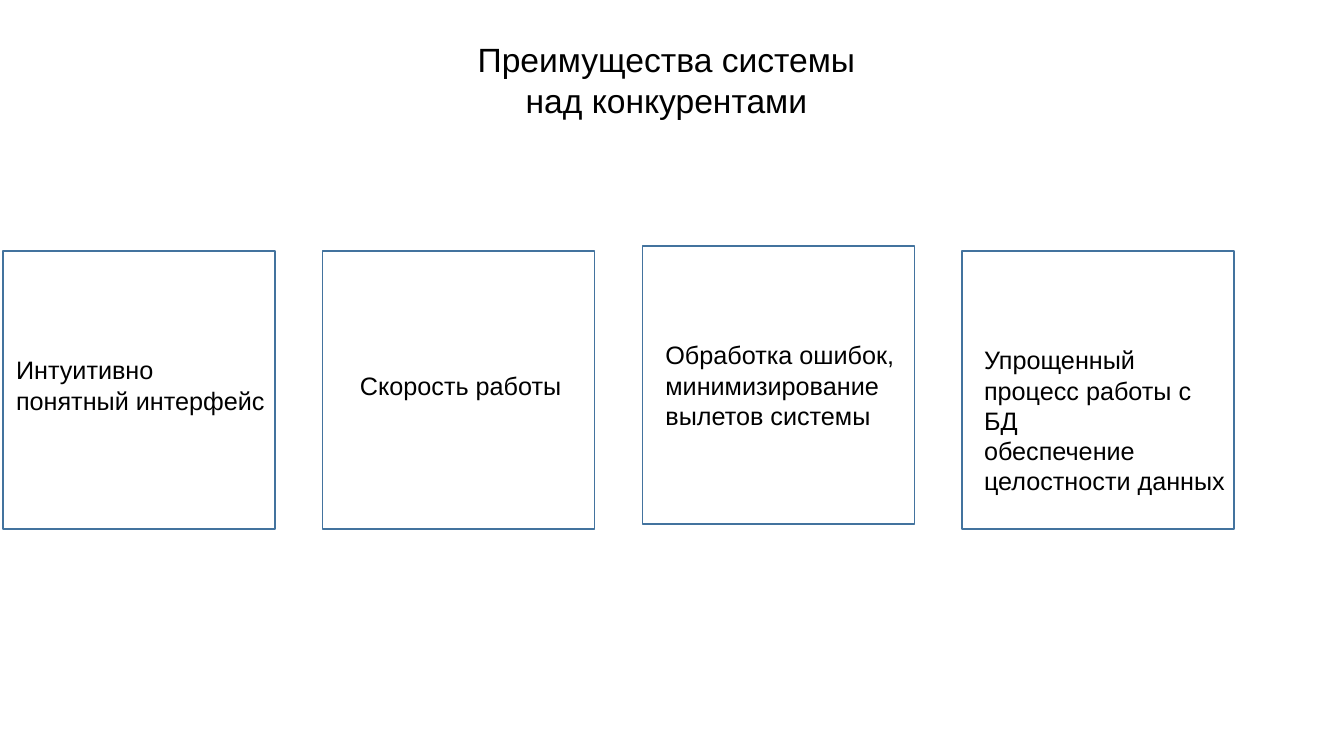
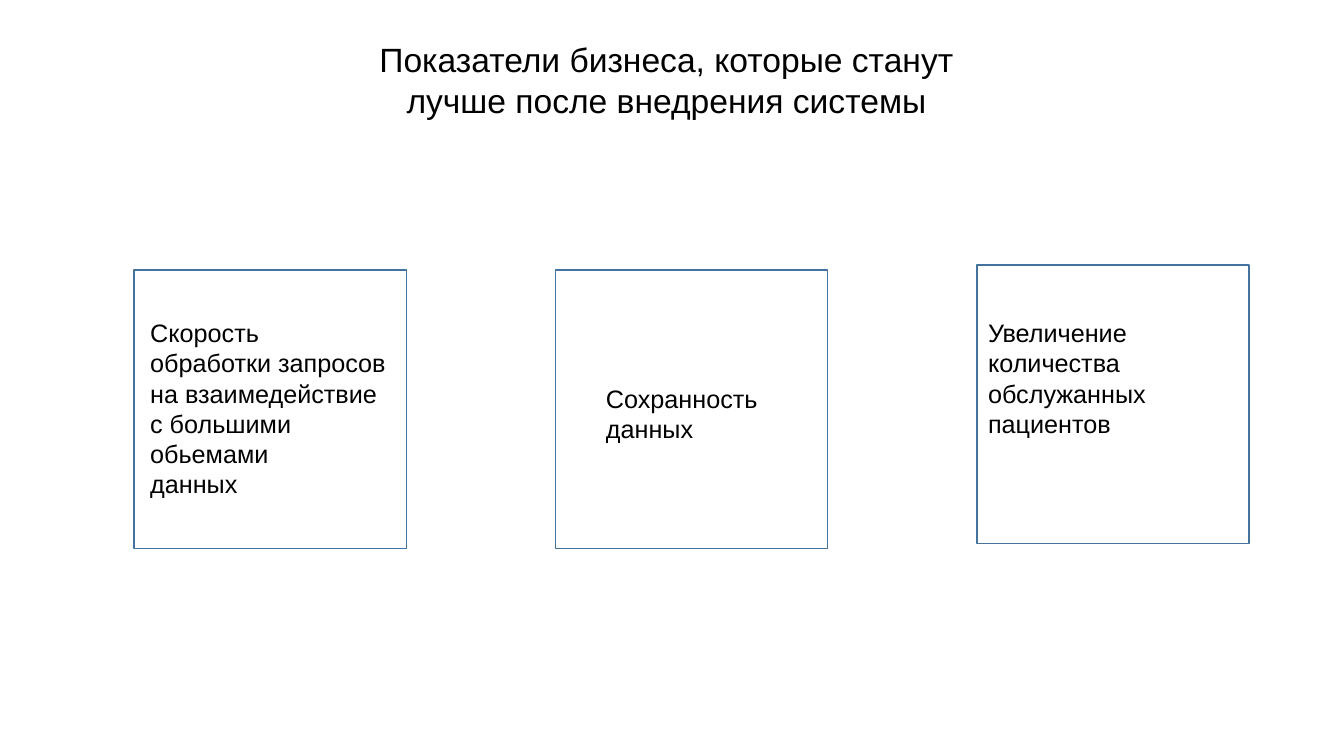
from pptx import Presentation
from pptx.dml.color import RGBColor
from pptx.enum.shapes import MSO_SHAPE
from pptx.enum.text import MSO_ANCHOR, MSO_AUTO_SIZE, PP_ALIGN
from pptx.util import Inches, Pt

RECT = MSO_SHAPE.RECTANGLE
TOP, NO_FIT = MSO_ANCHOR.TOP, MSO_AUTO_SIZE.NONE
LEFT, CENTER = PP_ALIGN.LEFT, PP_ALIGN.CENTER

SLIDE_W, SLIDE_H = 13.33, 7.5
TITLE_ONLY = 5
FONT, BLACK, BORDER = "Arial", "000000", "43739E"
TITLE_BOX = (3.11, 0.34, 7, 0.9)
CARD_W, CARD_H = 2.7, 2.76
RAISE = 0.05

# Each card: text, left inset, top inset, lift above the row.
SLIDES = [
    {
        "title": "Преимущества системы\nнад конкурентами",
        "left": 0.03, "step": 3.17, "top": 2.49,
        "cards": [
            ("Интуитивно\nпонятный интерфейс", 0.13, 1.03, 0),
            ("Скорость работы", 0.37, 1.18, 0),
            ("Обработка ошибок, минимизирование вылетов системы",
             0.23, 0.93, RAISE),
            ("Упрощенный процесс работы с БД\nобеспечение целостности данных",
             0.22, 0.93, 0),
        ],
    },
    {
        "title": "Показатели бизнеса, которые станут\nлучше после внедрения системы",
        "left": 1.33, "step": 4.18, "top": 2.68,
        "cards": [
            ("Скорость\nобработки запросов\nна взаимедействие\n"
             "с большими обьемами\nданных", 0.16, 0.47, 0),
            ("Сохранность\nданных", 0.5, 1.12, 0),
            ("Увеличение количества обслужанных пациентов",
             0.11, 0.52, RAISE),
        ],
    },
]


def rgb(value):
    return RGBColor.from_string(value)


def write(tf, text, size, align, margins):
    """Fill a text frame; margins are left, top, right, bottom in inches."""
    frame_format = {"text": text, "word_wrap": True, "auto_size": NO_FIT,
                    "vertical_anchor": TOP}
    for side, margin in zip(("left", "top", "right", "bottom"), margins):
        frame_format[f"margin_{side}"] = Inches(margin)
    for name, value in frame_format.items():
        setattr(tf, name, value)
    for p in tf.paragraphs:
        p.alignment = align
        for r in p.runs:
            for name, value in {"name": FONT, "size": Pt(size)}.items():
                setattr(r.font, name, value)
            r.font.color.rgb = rgb(BLACK)


def set_title(s, text):
    title = s.shapes.title
    for name, value in zip(("left", "top", "width", "height"), TITLE_BOX):
        setattr(title, name, Inches(value))
    write(title.text_frame, text, 24, CENTER, (0.1, 0.05, 0.1, 0.05))


def add_card(s, x, y, text, inset_x, inset_y):
    sp = s.shapes.add_shape(RECT, *map(Inches, (x, y, CARD_W, CARD_H)))
    sp.shadow.inherit = False
    sp.fill.background()
    sp.line.color.rgb = rgb(BORDER)
    sp.line.width = Pt(1)
    write(sp.text_frame, text, 18, LEFT, (inset_x, inset_y, 0.05, 0))


def add_card_slide(prs, content):
    s = prs.slides.add_slide(prs.slide_layouts[TITLE_ONLY])
    set_title(s, content["title"])
    for col, (text, inset_x, inset_y, lift) in enumerate(content["cards"]):
        x = content["left"] + col * content["step"]
        add_card(s, x, content["top"] - lift, text, inset_x, inset_y)


def main():
    prs = Presentation()
    prs.slide_width, prs.slide_height = Inches(SLIDE_W), Inches(SLIDE_H)
    for content in SLIDES:
        add_card_slide(prs, content)
    prs.save("out.pptx")


if __name__ == "__main__":
    main()
